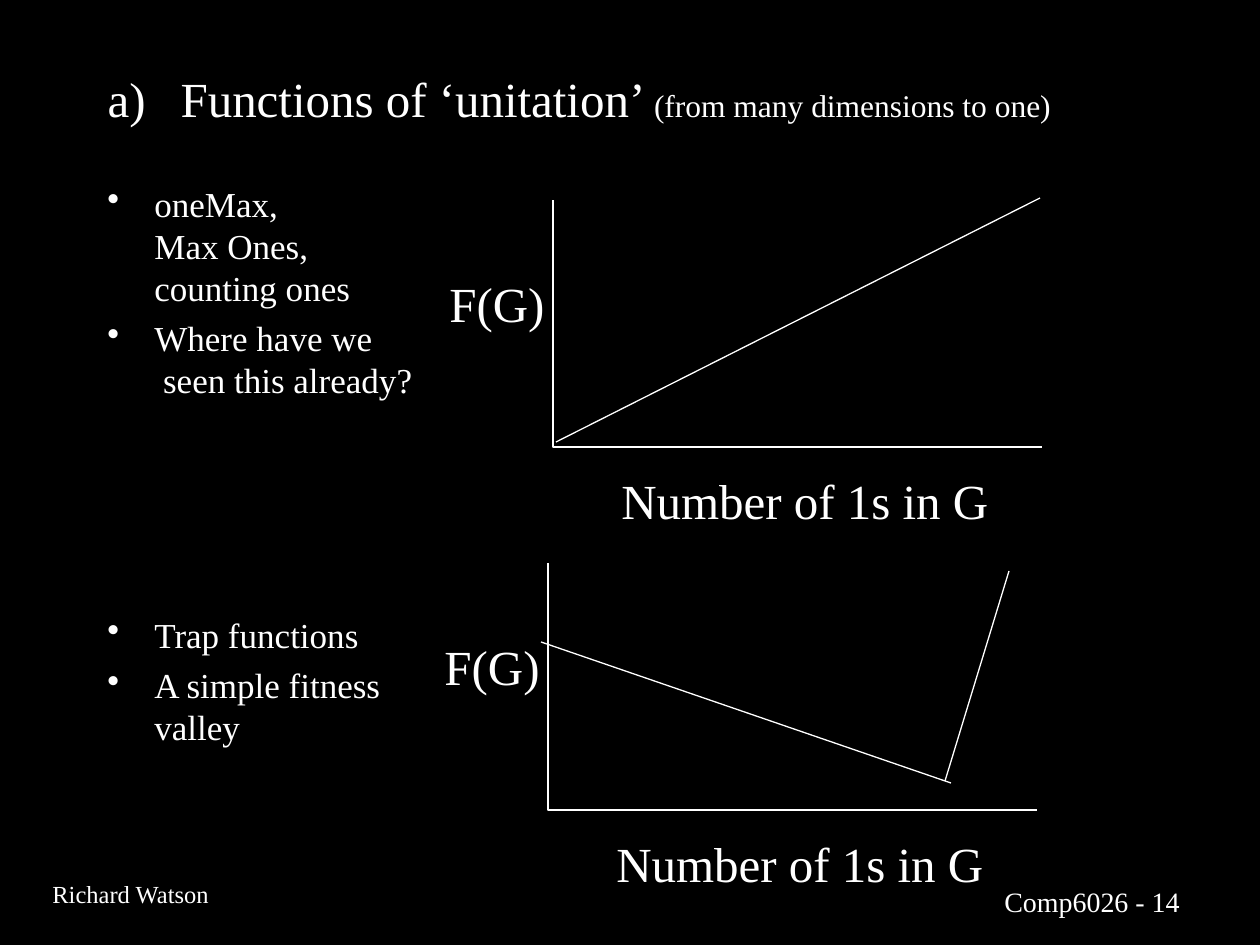
"""Build the slide on functions of unitation."""
from dataclasses import dataclass

from lxml import etree
from pptx import Presentation
from pptx import util as u
from pptx.dml.color import RGBColor
from pptx.enum import text
from pptx.oxml.ns import qn

EMU_PER_INCH = 914400
PX_PER_INCH = 126
WHITE, BLACK = "FFFFFF", "000000"
FONT = "Times New Roman"
AXIS_WIDTH, AXIS_HEIGHT = 489, 247


@dataclass(frozen=True)
class Box:
    left: int
    top: int
    width: int
    height: int


@dataclass(frozen=True)
class Line:
    x1: int
    y1: int
    x2: int
    y2: int


@dataclass(frozen=True)
class Plot:
    left: int
    top: int
    grouped: bool
    curve: tuple[Line, ...]


@dataclass(frozen=True)
class BulletList:
    box: Box
    items: tuple[str, ...]


PLOTS = (
    Plot(553, 200, False, (Line(556, 442, 1040, 198),)),
    Plot(548, 563, True, (Line(541, 642, 951, 783), Line(1009, 571, 945, 781))),
)
BULLET_LISTS = (
    BulletList(Box(95, 176, 359, 240),
               ("oneMax, \vMax Ones,\vcounting ones", "Where have we\v seen this already?")),
    BulletList(Box(95, 607, 359, 160), ("Trap functions", "A simple fitness valley")),
)


def px(length: int) -> int:
    """Turn px into EMU."""
    return round(length * EMU_PER_INCH / PX_PER_INCH)


def color(value: str) -> RGBColor:
    """Turn a hex string into a colour."""
    return RGBColor.from_string(value)


def place(shape, box: Box) -> None:
    """Move and size a shape."""
    shape.left, shape.top = px(box.left), px(box.top)
    shape.width, shape.height = px(box.width), px(box.height)


def add_run(paragraph, words: str, size: int) -> None:
    """Add formatted words, with a line break at each vertical tab."""
    for index, line in enumerate(words.split("\v")):
        if index:
            paragraph.add_line_break()
        run = paragraph.add_run()
        run.text = line
        run.font.name = FONT
        run.font.size = u.Pt(size)
        run.font.color.rgb = color(WHITE)


def add_marker(paragraph, indent: int, tag: str, **attributes: str) -> None:
    """Give a paragraph a hanging indent and a bullet or number."""
    properties = paragraph._p.get_or_add_pPr()
    properties.set("marL", str(px(indent)))
    properties.set("indent", str(-px(indent)))
    marker_color = etree.SubElement(properties, qn("a:buClr"))
    etree.SubElement(marker_color, qn("a:srgbClr"), val=WHITE)
    etree.SubElement(properties, qn(tag), **attributes)


def add_text(shapes, words: str, box: Box, *, size: int, wrap: bool = False) -> None:
    """Add a text box with one paragraph."""
    shape = shapes.add_textbox(0, 0, 0, 0)
    place(shape, box)
    frame = shape.text_frame
    frame.word_wrap = wrap
    add_run(frame.paragraphs[0], words, size)


def add_bullets(shapes, bullets: BulletList) -> None:
    """Add a text box with bulleted paragraphs."""
    shape = shapes.add_textbox(0, 0, 0, 0)
    place(shape, bullets.box)
    frame = shape.text_frame
    frame.word_wrap = True
    for index, item in enumerate(bullets.items):
        paragraph = frame.add_paragraph() if index else frame.paragraphs[0]
        paragraph.space_before = u.Pt(5 if index else 0)
        add_marker(paragraph, 47, "a:buChar", char="•")
        add_run(paragraph, item, 20)


def style_line(shape) -> None:
    """Give a shape a thin white line."""
    shape.line.color.rgb = color(WHITE)
    shape.line.width = u.Pt(0.75)


def add_line(shapes, line: Line) -> None:
    """Add a straight line without shadow."""
    connector = shapes.add_connector(1, px(line.x1), px(line.y1), px(line.x2), px(line.y2))
    style_line(connector)
    etree.SubElement(connector._element.spPr, qn("a:effectLst"))


def add_plot(slide, plot: Plot) -> None:
    """Draw the axes, axis labels and curve of a plot."""
    shapes = slide.shapes.add_group_shape().shapes if plot.grouped else slide.shapes
    bottom = plot.top + AXIS_HEIGHT
    builder = shapes.build_freeform(px(plot.left), px(plot.top))
    builder.add_line_segments(
        [(px(plot.left), px(bottom)), (px(plot.left + AXIS_WIDTH), px(bottom))], close=False)
    axes = builder.convert_to_shape()
    axes.fill.background()
    axes.shadow.inherit = False
    style_line(axes)
    add_text(shapes, "F(G)", Box(plot.left - 116, plot.top + 67, 120, 72), size=28)
    add_text(shapes, "Number of 1s in G", Box(plot.left + 56, bottom + 17, 392, 72), size=28)
    for line in plot.curve:
        add_line(shapes, line)


def set_title(title) -> None:
    """Place the title and fill it with its numbered heading."""
    place(title, Box(95, 52, 1071, 92))
    frame = title.text_frame
    frame.auto_size = text.MSO_AUTO_SIZE.NONE
    frame.vertical_anchor = text.MSO_ANCHOR.MIDDLE
    paragraph = frame.paragraphs[0]
    paragraph.alignment = text.PP_ALIGN.LEFT
    add_marker(paragraph, 73, "a:buAutoNum", type="alphaLcParenR")
    add_run(paragraph, "Functions of ‘unitation’ ", 28)
    add_run(paragraph, "(from many dimensions to one)", 18)


def main() -> None:
    """Build and save the presentation."""
    presentation = Presentation()
    presentation.slide_width, presentation.slide_height = px(1260), px(945)
    slide = presentation.slides.add_slide(presentation.slide_layouts.get_by_name("Title Only"))
    slide.background.fill.solid()
    slide.background.fill.fore_color.rgb = color(BLACK)
    add_text(slide.shapes, "Comp6026 - 14", Box(992, 878, 373, 46), size=16, wrap=True)
    add_text(slide.shapes, "Richard Watson", Box(40, 873, 184, 43), size=14)
    set_title(slide.shapes.title)
    for bullets in BULLET_LISTS:
        add_bullets(slide.shapes, bullets)
    for plot in PLOTS:
        add_plot(slide, plot)
    presentation.save("out.pptx")


if __name__ == "__main__":
    main()
